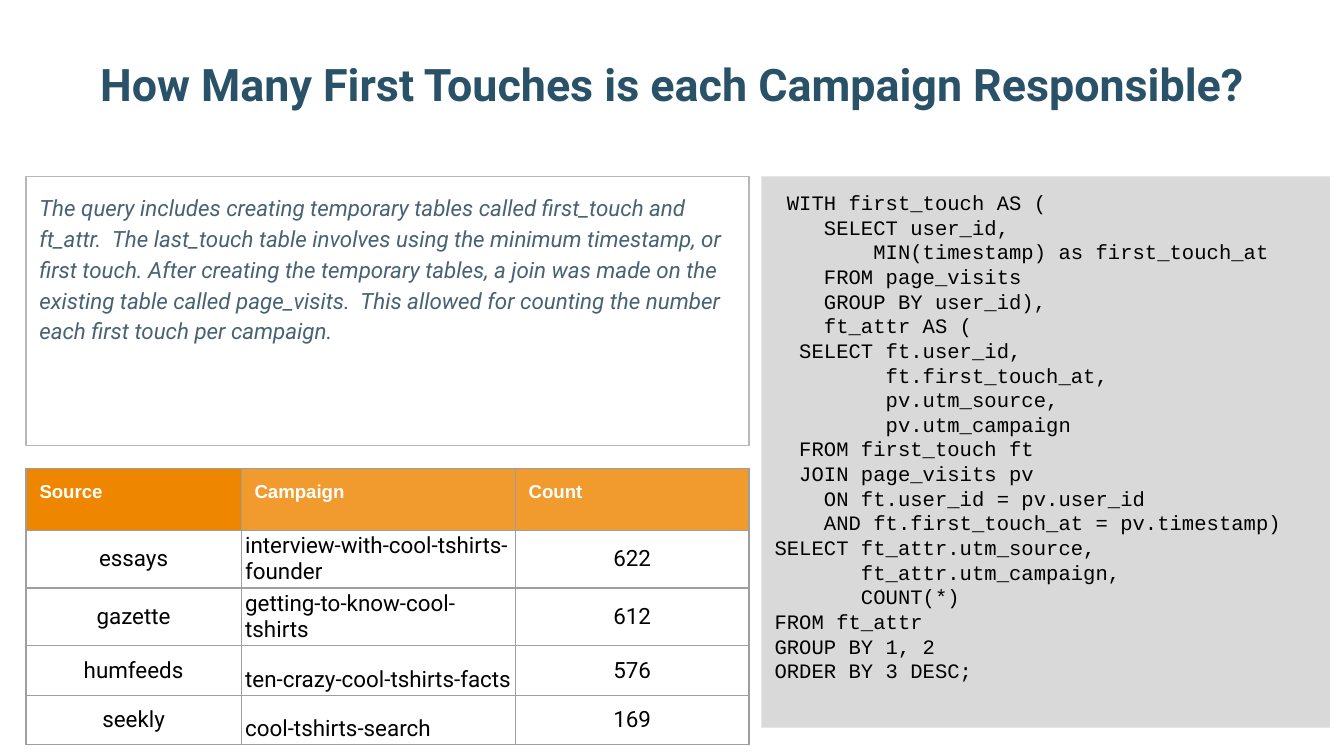
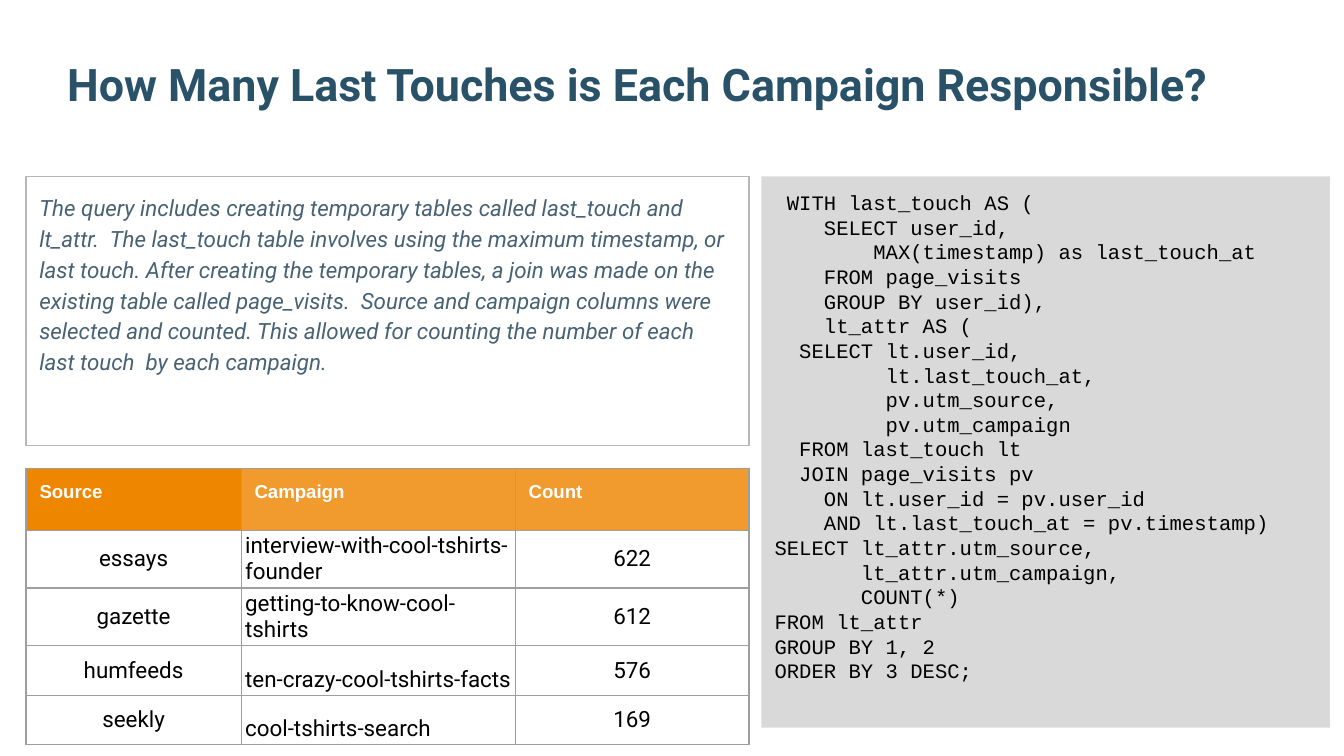
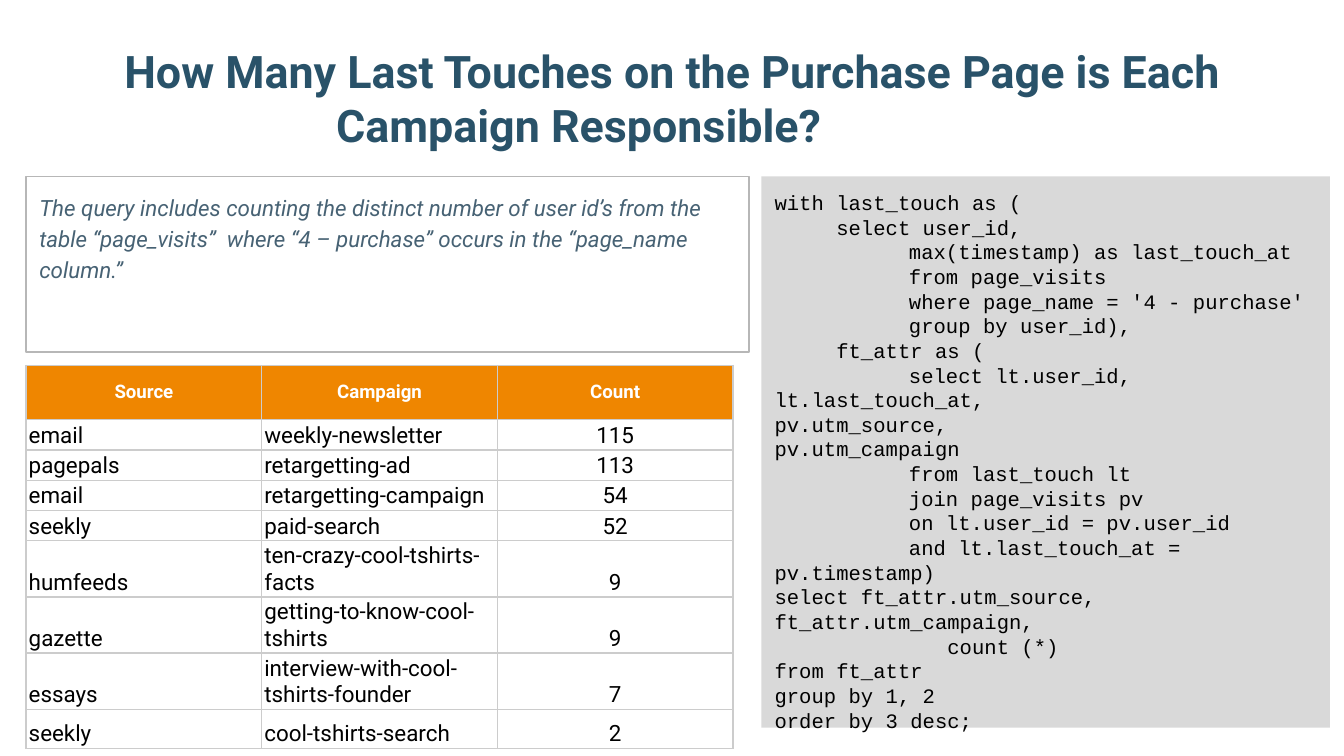
from dataclasses import dataclass

from lxml import etree
from pptx import Presentation
from pptx import util as u
from pptx.dml.color import RGBColor
from pptx.enum import shapes, text
from pptx.oxml.ns import qn

NAVY = RGBColor(0x29, 0x52, 0x69)
SLATE = RGBColor(0x47, 0x62, 0x74)
ORANGE = RGBColor(0xEF, 0x86, 0x00)
PANEL = RGBColor(0xD9, 0xD9, 0xD9)
OUTLINE = RGBColor(0xB7, 0xB7, 0xB7)
GRID_DARK = RGBColor(0x9E, 0x9E, 0x9E)
GRID_LIGHT = RGBColor(0xCC, 0xCC, 0xCC)
BLACK = RGBColor(0, 0, 0)
WHITE = RGBColor(0xFF, 0xFF, 0xFF)

SLIDE_WIDTH = u.Inches(10)
SLIDE_HEIGHT = u.Inches(5.625)
TITLE_ONLY = 5
LEFT, CENTER = text.PP_ALIGN.LEFT, text.PP_ALIGN.CENTER
TOP, MIDDLE, BOTTOM = (
    text.MSO_ANCHOR.TOP, text.MSO_ANCHOR.MIDDLE, text.MSO_ANCHOR.BOTTOM)


@dataclass(frozen=True)
class TableStyle:
    """Look of a results table; opacities are percentages by column."""
    border: RGBColor
    header_font: str
    header_align: int
    header_anchor: int
    header_margins: tuple
    header_opacities: tuple
    body_margins: tuple
    body_aligns: tuple
    body_anchors: tuple


TOUCH_STYLE = TableStyle(
    GRID_DARK, "Arial", LEFT, TOP, (0.1, 0.1), (100, 82, 82),
    (0.03, 0.02), (CENTER, LEFT, CENTER), (MIDDLE, BOTTOM, MIDDLE))
PURCHASE_STYLE = TableStyle(
    GRID_LIGHT, "Roboto", CENTER, MIDDLE, (0.02, 0.01), (100, 100, 100),
    (0.02, 0.01), (LEFT, LEFT, CENTER), (BOTTOM, BOTTOM, BOTTOM))

HEADINGS = ("Source", "Campaign", "Count")
TOUCH_COUNTS = [
    HEADINGS,
    ("essays", "interview-with-cool-tshirts-founder", "622"),
    ("gazette", "getting-to-know-cool-tshirts", "612"),
    ("humfeeds", "ten-crazy-cool-tshirts-facts", "576"),
    ("seekly", "cool-tshirts-search", "169"),
]
PURCHASE_COUNTS = [
    HEADINGS,
    ("email", "weekly-newsletter", "115"),
    ("pagepals", "retargetting-ad", "113"),
    ("email", "retargetting-campaign", "54"),
    ("seekly", "paid-search", "52"),
    ("humfeeds", "ten-crazy-cool-tshirts-facts", "9"),
    ("gazette", "getting-to-know-cool-tshirts", "9"),
    ("essays", "interview-with-cool-tshirts-founder", "7"),
    ("seekly", "cool-tshirts-search", "2"),
]

FIRST_TOUCH_NOTE = (
    "The query includes creating temporary tables called first_touch and "
    "ft_attr.  The last_touch table involves using the minimum timestamp, or "
    "first touch. After creating the temporary tables, a join was made on the "
    "existing table called page_visits.  This allowed for counting the number "
    "each first touch per campaign.")
LAST_TOUCH_NOTE = (
    "The query includes creating temporary tables called last_touch and "
    "lt_attr.  The last_touch table involves using the maximum timestamp, or "
    "last touch. After creating the temporary tables, a join was made on the "
    "existing table called page_visits.  Source and campaign columns were "
    "selected and counted. This allowed for counting the number of each "
    "last touch  by each campaign.")
PURCHASE_NOTE = (
    "The query includes counting the distinct number of user id’s from the "
    "table “page_visits”  where “4 – purchase” occurs in the “page_name "
    "column.”")

PURCHASE_QUERY = """with last_touch as (
     select user_id,
\tmax(timestamp) as last_touch_at
\tfrom page_visits
\twhere page_name = '4 - purchase'
\tgroup by user_id),
     ft_attr as (
\tselect lt.user_id,\t\t\tlt.last_touch_at,\t\t\tpv.utm_source,\t\t\tpv.utm_campaign
\tfrom last_touch lt
\tjoin page_visits pv
\ton lt.user_id = pv.user_id
\tand lt.last_touch_at = pv.timestamp)
select ft_attr.utm_source,\t\t\tft_attr.utm_campaign,
              count (*)
from ft_attr
group by 1, 2
order by 3 desc;"""


def touch_query(touch, alias, pick):
    """Return the SQL that counts first or last touches by campaign."""
    return f""" WITH {touch}_touch AS (
    SELECT user_id,
        {pick}(timestamp) as {touch}_touch_at
    FROM page_visits
    GROUP BY user_id),
    {alias}_attr AS (
  SELECT {alias}.user_id,
         {alias}.{touch}_touch_at,
         pv.utm_source,
         pv.utm_campaign
  FROM {touch}_touch {alias}
  JOIN page_visits pv
    ON {alias}.user_id = pv.user_id
    AND {alias}.{touch}_touch_at = pv.timestamp)
SELECT {alias}_attr.utm_source,
       {alias}_attr.utm_campaign,
       COUNT(*)
FROM {alias}_attr
GROUP BY 1, 2
ORDER BY 3 DESC;"""


def area(left, top, width, height):
    """Turn percentages of the slide into a box of lengths."""
    return (int(SLIDE_WIDTH * left / 100), int(SLIDE_HEIGHT * top / 100),
            int(SLIDE_WIDTH * width / 100), int(SLIDE_HEIGHT * height / 100))


def set_margins(target, horizontal, vertical):
    """Set the inner margins of a text frame or a cell, in inches."""
    target.margin_left = target.margin_right = u.Inches(horizontal)
    target.margin_top = target.margin_bottom = u.Inches(vertical)


def add_tab_stops(paragraph):
    """Give a paragraph a tab stop at every inch of the slide."""
    stops = etree.SubElement(
        paragraph._p.get_or_add_pPr(), qn("a:tabLst"))
    for inch in range(1, 10):
        etree.SubElement(stops, qn("a:tab"), pos=str(u.Inches(inch)), algn="l")


def write(frame, content, font_name, size, color, align=LEFT, bold=False,
          italic=False, spacing=None):
    """Fill a text frame, one paragraph a line, in a single style."""
    frame.text = content
    for paragraph in frame.paragraphs:
        paragraph.alignment = align
        paragraph.line_spacing = spacing
        if "\t" in paragraph.text:
            add_tab_stops(paragraph)
        font = paragraph.font
        font.name, font.size, font.color.rgb = font_name, u.Pt(size), color
        font.bold, font.italic = bold, italic


def prepare_frame(shape):
    """Give a shape's text frame the common wrap, anchor and margins."""
    frame = shape.text_frame
    frame.word_wrap = True
    frame.auto_size = text.MSO_AUTO_SIZE.NONE
    frame.vertical_anchor = TOP
    set_margins(frame, 0.1, 0.1)
    return frame


def place_title(slide, box, title):
    """Move the title placeholder into the box and fill it."""
    shape = slide.shapes.title
    shape.left, shape.top, shape.width, shape.height = box
    write(prepare_frame(shape), title, "Roboto", 24, NAVY, CENTER, bold=True)


def add_panel(slide, box):
    """Add a flat rectangle and return it."""
    panel = slide.shapes.add_shape(shapes.MSO_SHAPE.RECTANGLE, *box)
    panel.shadow.inherit = False
    return panel


def add_query(slide, box, query):
    """Add the grey panel with the SQL code."""
    panel = add_panel(slide, box)
    panel.fill.solid()
    panel.fill.fore_color.rgb = PANEL
    panel.line.fill.background()
    write(prepare_frame(panel), query, "Courier New", 11, BLACK)


def add_note(slide, box, note):
    """Add the outlined panel that explains the query."""
    panel = add_panel(slide, box)
    panel.fill.background()
    panel.line.color.rgb = OUTLINE
    panel.line.width = u.Pt(0.75)
    write(prepare_frame(panel), note, "Roboto", 12, SLATE, italic=True,
          spacing=1.15)


def add_borders(cell, color):
    """Draw a thin line on the four sides of a cell."""
    properties = cell._tc.get_or_add_tcPr()
    for side in ("a:lnL", "a:lnR", "a:lnT", "a:lnB"):
        line = etree.SubElement(properties, qn(side), w=str(u.Pt(0.75)))
        fill = etree.SubElement(line, qn("a:solidFill"))
        etree.SubElement(fill, qn("a:srgbClr"), val=str(color))


def format_header(cell, label, column, style):
    """Fill one heading cell on orange."""
    set_margins(cell, *style.header_margins)
    cell.vertical_anchor = style.header_anchor
    cell.fill.solid()
    cell.fill.fore_color.rgb = ORANGE
    opacity = style.header_opacities[column]
    if opacity < 100:
        color = cell._tc.tcPr.find(qn("a:solidFill")).find(qn("a:srgbClr"))
        etree.SubElement(color, qn("a:alpha"), val=str(opacity * 1000))
    write(cell.text_frame, label, style.header_font, 10, WHITE,
          style.header_align, bold=True)


def format_body(cell, value, column, style):
    """Fill one unshaded data cell."""
    set_margins(cell, *style.body_margins)
    cell.vertical_anchor = style.body_anchors[column]
    cell.fill.background()
    write(cell.text_frame, value, "Roboto", 12, BLACK,
          style.body_aligns[column])


def add_counts(slide, box, records, style, column_weights, row_weights):
    """Add a results table whose columns and rows share the box by weight."""
    width, height = box[2:]
    table = slide.shapes.add_table(len(records), len(HEADINGS), *box).table
    table.first_row = table.horz_banding = False
    for column, weight in zip(table.columns, column_weights):
        column.width = int(width * weight / sum(column_weights))
    for row, weight in zip(table.rows, row_weights):
        row.height = int(height * weight / sum(row_weights))
    for row_index, record in enumerate(records):
        format_cell = format_body if row_index else format_header
        for column_index, value in enumerate(record):
            cell = table.cell(row_index, column_index)
            add_borders(cell, style.border)
            format_cell(cell, value, column_index, style)


def add_query_slide(presentation, title, title_top, query, note, note_height):
    """Add a slide with a title, a query and its explanation."""
    slide = presentation.slides.add_slide(
        presentation.slide_layouts[TITLE_ONLY])
    place_title(slide, area(3.4, title_top, 93.2, 16.4), title)
    add_query(slide, area(56.65, 23.35, 42.3, 72.9), query)
    add_note(slide, area(1.94, 23.35, 53.8, note_height), note)
    return slide


def add_touch_slide(presentation, title, query, note):
    """Add a slide on first or last touches."""
    slide = add_query_slide(presentation, title, 5.7, query, note, 35.6)
    add_counts(slide, area(1.94, 62, 53.8, 34.3), TOUCH_COUNTS, TOUCH_STYLE,
               (160, 204, 174), (46, 37, 37, 37, 37))


def add_purchase_slide(presentation):
    """Add the slide on last touches on the purchase page."""
    slide = add_query_slide(
        presentation,
        "How Many Last Touches on the Purchase Page is Each Campaign "
        "Responsible?\t\t", 4.05, PURCHASE_QUERY, PURCHASE_NOTE, 23.2)
    add_counts(slide, area(1.94, 48.35, 52.6, 50.7), PURCHASE_COUNTS,
               PURCHASE_STYLE, (1, 1, 1),
               (54, 30.3, 30.3, 30.3, 30.3, 56, 56, 56.5, 39))


def main():
    """Build the three slides and save them."""
    presentation = Presentation()
    presentation.slide_width = SLIDE_WIDTH
    presentation.slide_height = SLIDE_HEIGHT
    add_touch_slide(
        presentation, "How Many First Touches is each Campaign Responsible?",
        touch_query("first", "ft", "MIN"), FIRST_TOUCH_NOTE)
    add_touch_slide(
        presentation, "How Many Last Touches is Each Campaign Responsible?\t",
        touch_query("last", "lt", "MAX"), LAST_TOUCH_NOTE)
    add_purchase_slide(presentation)
    presentation.save("out.pptx")


if __name__ == "__main__":
    main()
